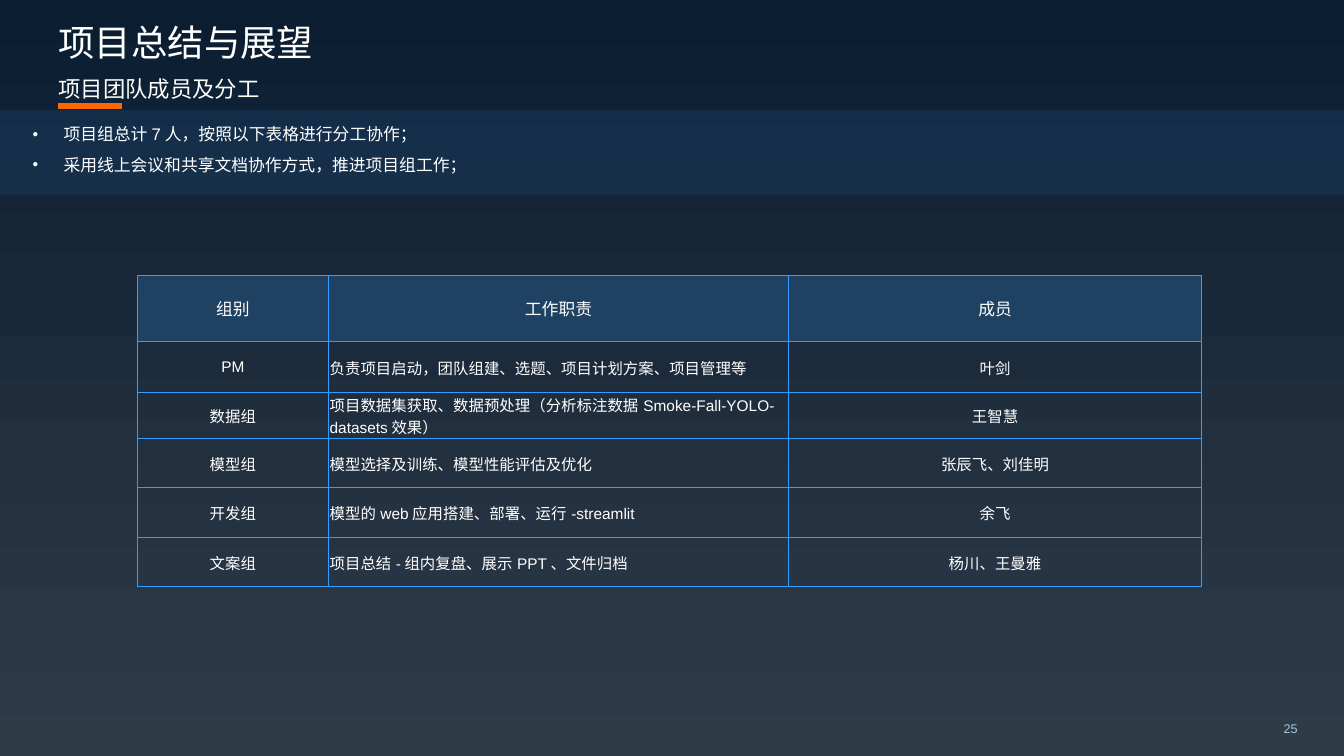
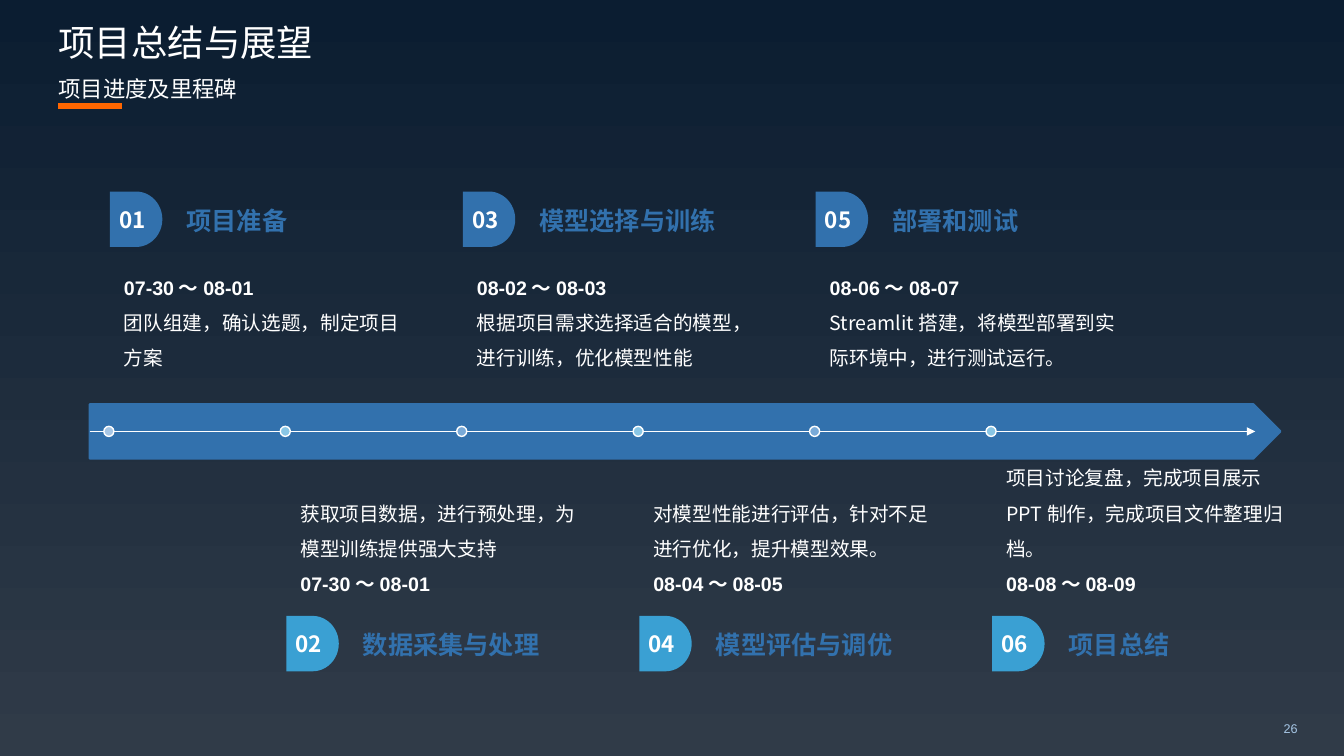
from lxml import etree
from pptx import Presentation
from pptx.dml.color import RGBColor
from pptx.enum.shapes import MSO_CONNECTOR, MSO_SHAPE
from pptx.enum.text import MSO_ANCHOR, MSO_AUTO_SIZE, PP_ALIGN
from pptx.oxml.ns import qn
from pptx.util import Inches, Pt

LEFT, CENTER, RIGHT = PP_ALIGN.LEFT, PP_ALIGN.CENTER, PP_ALIGN.RIGHT
TOP, MIDDLE, BOTTOM = MSO_ANCHOR.TOP, MSO_ANCHOR.MIDDLE, MSO_ANCHOR.BOTTOM
STRAIGHT = MSO_CONNECTOR.STRAIGHT
PENTAGON, OVAL, DELAY = MSO_SHAPE.PENTAGON, MSO_SHAPE.OVAL, MSO_SHAPE.FLOWCHART_DELAY
NO_AUTOFIT = MSO_AUTO_SIZE.NONE

WHITE = RGBColor(0xFF, 0xFF, 0xFF)
ORANGE = RGBColor(0xFF, 0x66, 0x00)
SLATE = RGBColor(0x30, 0x3B, 0x48)
NAVY = RGBColor(0x0B, 0x1D, 0x31)
BRIGHT_BLUE = RGBColor(0x31, 0x9E, 0xFF)
HEADER_BLUE = RGBColor(0x20, 0x42, 0x62)
STEEL_BLUE = RGBColor(0x32, 0x71, 0xAD)
SKY_BLUE = RGBColor(0x3A, 0xA0, 0xD3)
PALE_BLUE = RGBColor(0xA6, 0xC6, 0xE5)
DOT_LIGHT = RGBColor(0x89, 0xC6, 0xE5)
DOT_MEDIUM = RGBColor(0x79, 0xAA, 0xD8)
LATIN, CJK = "Arial", "Noto Sans CJK SC"

TITLE = "项目总结与展望"
TEAM_SUBTITLE, TEAM_NUMBER = "项目团队成员及分工", "25"
PLAN_SUBTITLE, PLAN_NUMBER = "项目进度及里程碑", "26"

TEAM_POINTS = [
    "项目组总计7人，按照以下表格进行分工协作；",
    "采用线上会议和共享文档协作方式，推进项目组工作；",
]
TEAM_ROWS = [
    ("组别", "工作职责", "成员"),
    ("PM", "负责项目启动，团队组建、选题、项目计划方案、项目管理等", "叶剑"),
    ("数据组", "项目数据集获取、数据预处理（分析标注数据Smoke-Fall-YOLO-datasets效果）", "王智慧"),
    ("模型组", "模型选择及训练、模型性能评估及优化", "张辰飞、刘佳明"),
    ("开发组", "模型的web应用搭建、部署、运行-streamlit", "余飞"),
    ("文案组", "项目总结-组内复盘、展示PPT、文件归档", "杨川、王曼雅"),
]
COLUMN_WIDTHS = [1.9, 4.56, 4.1]
ROW_HEIGHTS = [0.66, 0.5, 0.46, 0.49, 0.49, 0.49]

STEPS = [
    ("项目准备", "07-30～08-01", "团队组建，确认选题，制定项目方案", PALE_BLUE, 2.84),
    ("数据采集与处理", "07-30～08-01", "获取项目数据，进行预处理，为模型训练提供强大支持", DOT_LIGHT, 2.84),
    ("模型选择与训练", "08-02～08-03", "根据项目需求选择适合的模型，进行训练，优化模型性能", DOT_MEDIUM, 2.84),
    ("模型评估与调优", "08-04～08-05", "对模型性能进行评估，针对不足进行优化，提升模型效果。", DOT_LIGHT, 2.84),
    ("部署和测试", "08-06～08-07", "Streamlit搭建，将模型部署到实际环境中，进行测试运行。", DOT_MEDIUM, 2.84),
    ("项目总结", "08-08～08-09", "项目讨论复盘，完成项目展示PPT制作，完成项目文件整理归档。", DOT_LIGHT, 2.92),
]
STEP_LEFT, STEP_GAP = 1.09, 1.75
AXIS_TOP, AXIS_HEIGHT, DOT_SIZE = 4.01, 0.54, 0.1


def inches(*lengths):
    return [Inches(length) for length in lengths]


def add_run(paragraph, text, size, color=WHITE, font=CJK, bold=False):
    run = paragraph.add_run()
    run.text = text
    run.font.size, run.font.name, run.font.bold = Pt(size), font, bold
    run.font.color.rgb = color
    etree.SubElement(run.font._element, qn("a:ea")).set("typeface", CJK)


def format_frame(frame, anchor, margins=(0, 0, 0, 0), wrap=True):
    frame.auto_size, frame.word_wrap, frame.vertical_anchor = NO_AUTOFIT, wrap, anchor
    (frame.margin_left, frame.margin_top,
     frame.margin_right, frame.margin_bottom) = inches(*margins)


def write_line(frame, text, size, anchor, align=LEFT, spacing=None, margins=(0, 0, 0, 0),
               wrap=True, **style):
    format_frame(frame, anchor, margins, wrap)
    paragraph = frame.paragraphs[0]
    paragraph.alignment, paragraph.line_spacing = align, spacing
    paragraph.space_before = Pt(0)
    add_run(paragraph, text, size, **style)


def add_text(slide, box, *args, **style):
    frame = slide.shapes.add_textbox(*inches(*box)).text_frame
    write_line(frame, *args, **style)


def add_filled(slide, kind, box, fill, line=None, width=0):
    shape = slide.shapes.add_shape(kind, *inches(*box))
    shape.shadow.inherit = False
    shape.fill.solid()
    shape.fill.fore_color.rgb = fill
    if line is None:
        shape.line.fill.background()
    else:
        shape.line.color.rgb, shape.line.width = line, Pt(width)
    return shape


def add_line(slide, ends, color, width):
    connector = slide.shapes.add_connector(STRAIGHT, *inches(*ends))
    connector.line.color.rgb, connector.line.width = color, Pt(width)
    etree.SubElement(connector.element.spPr, qn("a:effectLst"))
    return connector


def style_master(presentation, slide):
    master = presentation.slide_master
    fill = master.background.fill
    fill.gradient()
    fill.gradient_angle = 90
    for stop, color in zip(fill.gradient_stops, (SLATE, NAVY)):
        stop.color.rgb = color
    accent = add_line(slide, (0.58, 1.05, 1.21, 1.05), ORANGE, 4)
    master.shapes.element.append(accent.element)


def place(shape, box):
    shape.left, shape.top, shape.width, shape.height = inches(*box)


def add_header(slide, subtitle, number):
    title = slide.shapes.title
    place(title, (0.58, 0, 9.29, 0.63))
    write_line(title.text_frame, TITLE, 26, BOTTOM, spacing=0.8, font=LATIN)
    add_text(slide, (0.58, 0.38, 9.29, 0.63), subtitle, 16, BOTTOM, spacing=0.8)
    add_text(slide, (10.87, 7.03, 2.1, 0.4), number, 9, MIDDLE, align=RIGHT,
             margins=(0.1, 0.05, 0.1, 0.05), color=PALE_BLUE, font=LATIN)


def fill_points(body):
    place(body, (0, 1.09, 13.33, 0.84))
    body.fill.solid()
    body.fill.fore_color.rgb = BRIGHT_BLUE
    color = body.element.spPr.find(".//" + qn("a:srgbClr"))
    etree.SubElement(color, qn("a:alpha")).set("val", "10000")
    frame = body.text_frame
    format_frame(frame, TOP, (0.32, 0.04, 0.32, 0.04))
    for index, text in enumerate(TEAM_POINTS):
        paragraph = frame.add_paragraph() if index else frame.paragraphs[0]
        properties = paragraph._p.get_or_add_pPr()
        properties.set("marL", str(Inches(0.31)))
        properties.set("indent", str(-Inches(0.31)))
        for tag, name, value in (("a:buSzPct", "val", "60000"),
                                 ("a:buFont", "typeface", LATIN),
                                 ("a:buChar", "char", "●")):
            etree.SubElement(properties, qn(tag)).set(name, value)
        paragraph.line_spacing, paragraph.space_before = 1.5, Pt(0)
        add_run(paragraph, text, 12, font=LATIN)


def add_borders(cell):
    properties = cell._tc.get_or_add_tcPr()
    for position, side in enumerate(("a:lnL", "a:lnR", "a:lnT", "a:lnB")):
        line = etree.Element(qn(side), w=str(Pt(0.5)))
        fill = etree.SubElement(line, qn("a:solidFill"))
        etree.SubElement(fill, qn("a:srgbClr")).set("val", str(BRIGHT_BLUE))
        properties.insert(position, line)


def add_team_table(slide):
    frame = slide.shapes.add_table(len(TEAM_ROWS), len(COLUMN_WIDTHS), *inches(
        1.36, 2.73, sum(COLUMN_WIDTHS), sum(ROW_HEIGHTS)))
    table = frame.table
    table.horz_banding = False
    for column, width in zip(table.columns, COLUMN_WIDTHS):
        column.width = Inches(width)
    for row_index, (row, height) in enumerate(zip(table.rows, ROW_HEIGHTS)):
        row.height = Inches(height)
        is_header = row_index == 0
        margins = (0, 0.04, 0, 0.04) if is_header else (0.01, 0.01, 0.01, 0)
        for column_index, text in enumerate(TEAM_ROWS[row_index]):
            cell = table.cell(row_index, column_index)
            cell.vertical_anchor = MIDDLE
            (cell.margin_left, cell.margin_top,
             cell.margin_right, cell.margin_bottom) = inches(*margins)
            if is_header:
                cell.fill.solid()
                cell.fill.fore_color.rgb = HEADER_BLUE
            else:
                cell.fill.background()
            add_borders(cell)
            paragraph = cell.text_frame.paragraphs[0]
            paragraph.alignment = LEFT if column_index == 1 and not is_header else CENTER
            add_run(paragraph, text, 12 if is_header else 11, font=LATIN)


def add_axis(slide):
    middle = AXIS_TOP + AXIS_HEIGHT / 2
    band = add_filled(slide, PENTAGON, (0.89, AXIS_TOP, 11.81, AXIS_HEIGHT),
                      STEEL_BLUE, STEEL_BLUE, 1.5)
    arrow = add_line(slide, (0.89, middle, 12.45, middle), WHITE, 0.5)
    arrow.begin_connect(band, 1)
    etree.SubElement(arrow.line._get_or_add_ln(), qn("a:tailEnd")).set("type", "triangle")


def add_step(slide, index, step):
    heading, dates, description, dot_color, note_width = step
    left = STEP_LEFT + index * STEP_GAP
    above = index % 2 == 0
    tag_top, note_top = (1.9, 2.62) if above else (6.11, 4.75)
    dot_top = AXIS_TOP + (AXIS_HEIGHT - DOT_SIZE) / 2
    add_filled(slide, OVAL, (left - 0.06, dot_top, DOT_SIZE, DOT_SIZE), dot_color, WHITE, 1)

    tag = add_filled(slide, DELAY, (left, tag_top, 0.52, 0.55),
                     STEEL_BLUE if above else SKY_BLUE)
    write_line(tag.text_frame, f"{index + 1:02}", 16, MIDDLE, align=CENTER,
               wrap=False, bold=True)
    add_text(slide, (left + 0.76, tag_top + 0.07, 2.24, 0.43), heading, 18, MIDDLE,
             color=STEEL_BLUE, bold=True)

    note = slide.shapes.add_textbox(*inches(left + 0.14, note_top, note_width, 1.16))
    frame = note.text_frame
    format_frame(frame, TOP if above else BOTTOM)
    lines = [(dates, LATIN, True), (description, CJK, False)]
    for position, (text, font, bold) in enumerate(lines if above else lines[::-1]):
        paragraph = frame.add_paragraph() if position else frame.paragraphs[0]
        paragraph.line_spacing = 1.5
        add_run(paragraph, text, 14, font=font, bold=bold)


def main():
    presentation = Presentation()
    presentation.slide_width, presentation.slide_height = inches(13.33, 7.5)
    layouts = presentation.slide_layouts

    team = presentation.slides.add_slide(layouts[1])
    style_master(presentation, team)
    add_header(team, TEAM_SUBTITLE, TEAM_NUMBER)
    fill_points(team.placeholders[1])
    add_team_table(team)

    plan = presentation.slides.add_slide(layouts[5])
    add_header(plan, PLAN_SUBTITLE, PLAN_NUMBER)
    add_axis(plan)
    for index, step in enumerate(STEPS):
        add_step(plan, index, step)

    presentation.save("out.pptx")


if __name__ == "__main__":
    main()
